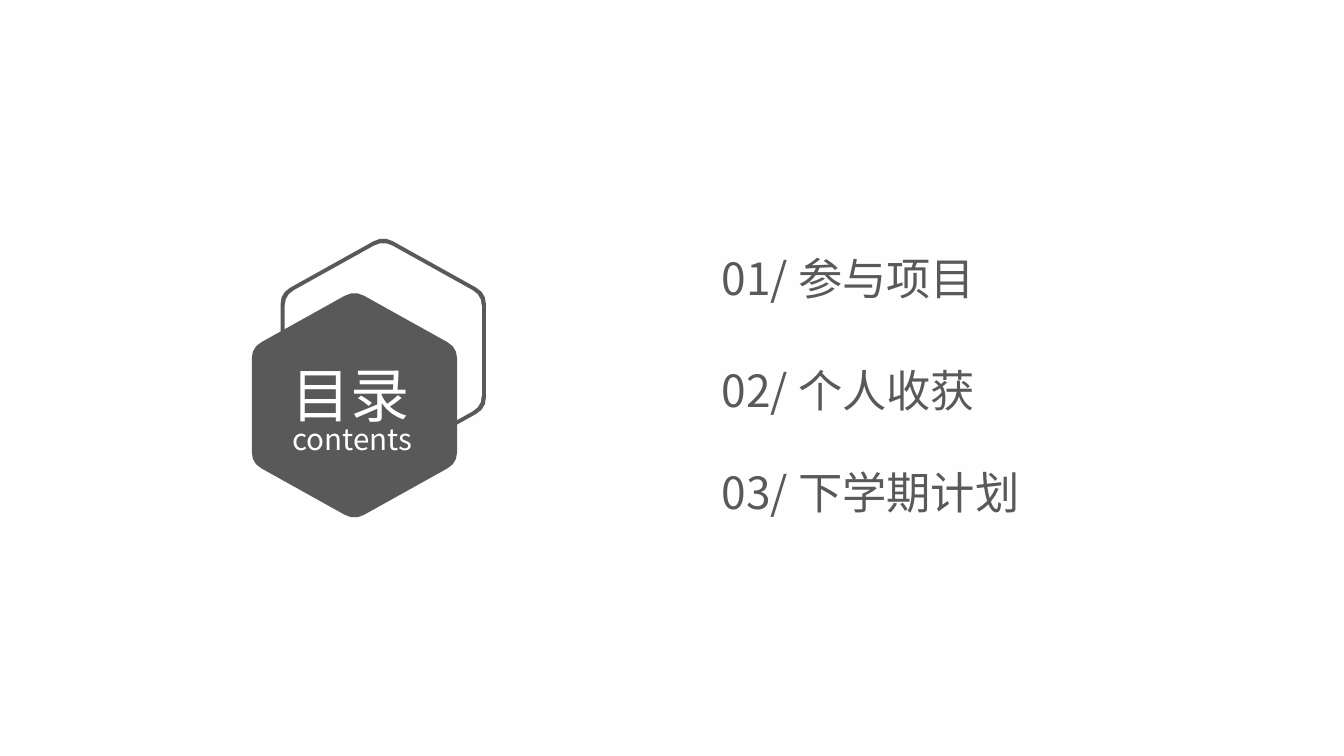
"""Build a contents slide with a hexagon badge and three chapter lines."""
from dataclasses import dataclass

from pptx import Presentation
from pptx.dml.color import RGBColor
from pptx.enum.text import MSO_ANCHOR, MSO_AUTO_SIZE, PP_ALIGN
from pptx.oxml import parse_xml
from pptx.oxml.ns import nsdecls
from pptx.util import Pt

LEFT, CENTER = PP_ALIGN.LEFT, PP_ALIGN.CENTER
TOP = MSO_ANCHOR.TOP
GROW = MSO_AUTO_SIZE.SHAPE_TO_FIT_TEXT
TITLE_ONLY = 5
STEPS = 3


@dataclass(frozen=True)
class Theme:
    font: str = "Noto Sans CJK SC"
    paper: RGBColor = RGBColor(0xFE, 0xFE, 0xFE)
    white: RGBColor = RGBColor(0xFF, 0xFF, 0xFF)
    gray: RGBColor = RGBColor(0x59, 0x59, 0x59)
    head: float = 40
    sub: float = 20
    item: float = 30
    lead: float = 1.16


@dataclass(frozen=True)
class Hexagon:
    x: float
    y: float
    scale: float
    color: RGBColor


@dataclass(frozen=True)
class Label:
    text: str
    x: float
    y: float
    width: float
    height: float
    size: float
    color: RGBColor
    align: PP_ALIGN = LEFT


THEME = Theme()
HALF, PEAK, SIDE, CUT = 69.5, 77.8, 39.1, 7.4
CORNERS = ((0, -PEAK), (HALF, -SIDE), (HALF, SIDE),
           (0, PEAK), (-HALF, SIDE), (-HALF, -SIDE))
HEXAGONS = (
    Hexagon(259.5, 237.6, 1, THEME.gray),
    Hexagon(259.5, 237.6, 0.96, THEME.white),
    Hexagon(240, 274.5, 1, THEME.gray),
)
HEAD = Label("目录", 168.5, 235.4, 142.6, 56.2, THEME.head, THEME.white, CENTER)
SUB = Label("contents", 192.2, 281.5, 97.9, 28.1, THEME.sub, THEME.white, CENTER)
ITEMS = (("参与项目", 164.2), ("个人收获", 240.5), ("下学期计划", 309.6))


def toward(start: tuple, end: tuple, part: float) -> tuple:
    return tuple(a + (b - a) * part for a, b in zip(start, end))


def outline() -> list[tuple]:
    points = []
    for i, tip in enumerate(CORNERS):
        ends = []
        for near in (CORNERS[i - 1], CORNERS[(i + 1) % len(CORNERS)]):
            span = ((near[0] - tip[0]) ** 2 + (near[1] - tip[1]) ** 2) ** 0.5
            ends.append(toward(tip, near, CUT / span))
        for step in range(STEPS + 1):
            part = step / STEPS
            points.append(toward(toward(ends[0], tip, part),
                                 toward(tip, ends[1], part), part))
    return points


def draw_hexagon(slide, hexagon: Hexagon) -> None:
    points = [(Pt(hexagon.x + x * hexagon.scale), Pt(hexagon.y + y * hexagon.scale))
              for x, y in outline()]
    pen = slide.shapes.build_freeform(*points[0], scale=1.0)
    pen.add_line_segments(points[1:], close=True)
    shape = pen.convert_to_shape()
    shape.shadow.inherit = False
    shape.fill.solid()
    shape.fill.fore_color.rgb = hexagon.color
    shape.line.fill.background()


def write(shape, label: Label) -> None:
    shape.left, shape.top = Pt(label.x), Pt(label.y)
    shape.width, shape.height = Pt(label.width), Pt(label.height)
    frame = shape.text_frame
    frame.word_wrap, frame.auto_size = True, GROW
    frame.vertical_anchor = TOP
    frame.margin_left = frame.margin_top = 0
    frame.margin_right, frame.margin_bottom = Pt(5), Pt(3.6)
    line = frame.paragraphs[0]
    line.alignment, line.line_spacing = label.align, THEME.lead
    line.space_before = Pt(0)
    run = line.add_run()
    run.text = label.text
    run.font.size, run.font.name = Pt(label.size), THEME.font
    run.font.color.rgb = label.color
    run.font._element.append(
        parse_xml(f'<a:ea {nsdecls("a")} typeface="{THEME.font}"/>'))


def add_label(slide, label: Label) -> None:
    write(slide.shapes.add_textbox(0, 0, 0, 0), label)


def main() -> None:
    deck = Presentation()
    deck.slide_width, deck.slide_height = Pt(910), Pt(512)
    slide = deck.slides.add_slide(deck.slide_layouts[TITLE_ONLY])
    slide.background.fill.solid()
    slide.background.fill.fore_color.rgb = THEME.paper
    for hexagon in HEXAGONS:
        draw_hexagon(slide, hexagon)
    title = slide.shapes.title
    title.element.getparent().append(title.element)
    write(title, HEAD)
    add_label(slide, SUB)
    for number, (name, y) in enumerate(ITEMS, 1):
        text = f"{number:02}/ {name}"
        add_label(slide, Label(text, 488.6, y, 300.2, 46.1, THEME.item, THEME.gray))
    deck.save("out.pptx")


if __name__ == "__main__":
    main()
